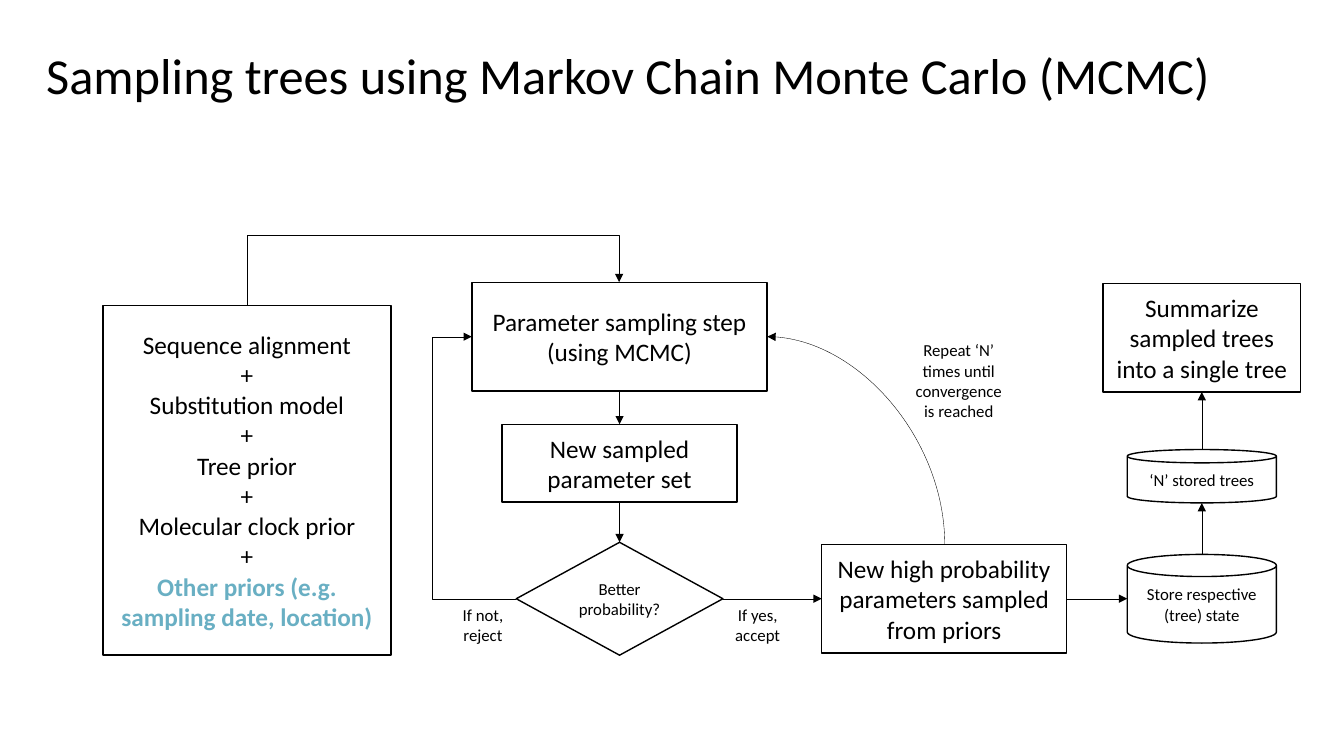
import pptx
import pptx.dml.color
import pptx.enum.shapes
import pptx.enum.text
import pptx.oxml.ns
import pptx.util
from lxml import etree

PX = 9144  # 100 px to the inch
COLORS = {"ink": "000000", "paper": "FFFFFF", "accent": "69AFC3"}
SHAPE = pptx.enum.shapes.MSO_SHAPE
LINK = pptx.enum.shapes.MSO_CONNECTOR
ALIGN = pptx.enum.text.PP_ALIGN
TOP, LEFT, BOTTOM, RIGHT = range(4)
qn = pptx.oxml.ns.qn


def rgb(name):
    return pptx.dml.color.RGBColor.from_string(COLORS[name])


def write(sp, lines, size=18, align=ALIGN.CENTER, spacing=None, inset=10, accent=None):
    """Fill a shape with one paragraph per line; the accent line is bold and coloured."""
    tf = sp.text_frame
    tf.word_wrap = True
    tf.vertical_anchor = pptx.enum.text.MSO_ANCHOR.MIDDLE
    tf.margin_left = tf.margin_right = inset * PX
    for i, line in enumerate(lines):
        p = tf.add_paragraph() if i else tf.paragraphs[0]
        p.alignment = align
        if spacing:
            p.line_spacing = spacing
        r = p.add_run()
        r.text = line
        r.font.name = "Calibri"
        r.font.size = pptx.util.Pt(size)
        r.font.bold = line == accent
        r.font.color.rgb = rgb("accent" if line == accent else "ink")


class Diagram:
    def __init__(self, slide, box_line=1, link_line=0.25):
        self.shapes = slide.shapes
        self.box_line = pptx.util.Pt(box_line)
        self.link_line = pptx.util.Pt(link_line)

    def text(self, x, y, w, h, *lines, **fmt):
        sp = self.shapes.add_textbox(x * PX, y * PX, w * PX, h * PX)
        write(sp, lines, **fmt)

    def box(self, x, y, w, h, *lines, kind=SHAPE.RECTANGLE, fill=None, **fmt):
        sp = self.shapes.add_shape(kind, x * PX, y * PX, w * PX, h * PX)
        sp.shadow.inherit = False
        if fill:
            sp.fill.solid()
            sp.fill.fore_color.rgb = rgb(fill)
        else:
            sp.fill.background()
        sp.line.color.rgb = rgb("ink")
        sp.line.width = self.box_line
        write(sp, lines, **fmt)
        return sp

    def link(self, kind, x1, y1, x2, y2):
        c = self.shapes.add_connector(kind, x1, y1, x2, y2)
        c.line.color.rgb = rgb("ink")
        c.line.width = self.link_line
        spPr = c._element.spPr
        etree.SubElement(spPr.find(qn("a:ln")), qn("a:tailEnd"), type="triangle")
        etree.SubElement(spPr, qn("a:effectLst"))
        return c

    def arrow(self, start, side1, end, side2):
        """Straight arrow between side middles; cylinders have other connection sites."""
        points = []
        for sp, side in ((start, side1), (end, side2)):
            points.append(sp.left + sp.width * {LEFT: 0, RIGHT: 2}.get(side, 1) // 2)
            points.append(sp.top + sp.height * {TOP: 0, BOTTOM: 2}.get(side, 1) // 2)
        c = self.link(LINK.STRAIGHT, *points)
        if start.auto_shape_type != SHAPE.CAN:
            c.begin_connect(start, side1)
        if end.auto_shape_type != SHAPE.CAN:
            c.end_connect(end, side2)

    def turn(self, kind, x, y, w, h, preset, rotation, flips="", bend=None):
        """Bent or curved arrow, given by its frame before rotation."""
        c = self.link(kind, x * PX, y * PX, (x + w) * PX, (y + h) * PX)
        spPr = c._element.spPr
        xfrm = spPr.find(qn("a:xfrm"))
        xfrm.set("rot", str(rotation * 60000))
        for flip in flips:
            xfrm.set("flip" + flip, "1")
        geom = spPr.find(qn("a:prstGeom"))
        geom.set("prst", preset)
        if bend is not None:
            av = geom.find(qn("a:avLst"))
            etree.SubElement(av, qn("a:gd"), name="adj1", fmla=f"val {bend}")


def main():
    prs = pptx.Presentation()
    prs.slide_width, prs.slide_height = pptx.util.Inches(13.33), pptx.util.Inches(7.5)
    d = Diagram(prs.slides.add_slide(prs.slide_layouts[6]))

    d.text(36, 40, 1265, 76, "Sampling trees using Markov Chain Monte Carlo (MCMC)",
           size=36, align=ALIGN.LEFT, spacing=0.9)

    # Model inputs
    other = "Other priors (e.g. sampling date, location)"
    d.box(102, 303, 286, 347, "Sequence alignment", "+", "Substitution model", "+",
          "Tree prior", "+", "Molecular clock prior", "+", other, accent=other)

    # Sampling loop
    step = d.box(468, 280, 293, 108, "Parameter sampling step", "(using MCMC)")
    sampled = d.box(498, 421, 233, 77, "New sampled parameter set")
    better = d.box(512, 538, 205, 112, "Better probability?",
                   kind=SHAPE.DIAMOND, fill="paper", size=12)
    accepted = d.box(815, 540, 243, 108,
                     "New high probability parameters sampled from priors")

    # Stored trees and summary
    state = d.box(1118, 550, 148, 88, "Store respective (tree) state",
                  kind=SHAPE.CAN, size=12)
    stored = d.box(1118, 446, 148, 53, "‘N’ stored trees", kind=SHAPE.CAN, size=12)
    summary = d.box(1094, 281, 196, 108, "Summarize sampled trees into a single tree")

    # Straight arrows
    d.arrow(step, BOTTOM, sampled, TOP)
    d.arrow(sampled, BOTTOM, better, TOP)
    d.arrow(better, RIGHT, accepted, LEFT)
    d.arrow(accepted, RIGHT, state, LEFT)
    d.arrow(state, TOP, stored, BOTTOM)
    d.arrow(stored, TOP, summary, BOTTOM)

    # Inputs to step, rejection, and repetition
    d.turn(LINK.ELBOW, 418, 107, 23, 369, "bentConnector3", 90, "HV", bend=302700)
    d.turn(LINK.ELBOW, 468, 334, 44, 260, "bentConnector3", 180, bend=188800)
    d.turn(LINK.CURVE, 746, 349, 206, 176, "curvedConnector2", 270, "V")

    # Arrow labels
    for x, y, w, h, label in ((448, 602, 62, 35, "If not, reject"),
                              (719, 602, 65, 35, "If yes, accept"),
                              (898, 334, 106, 87,
                               "Repeat ‘N’ times until convergence is reached")):
        d.text(x, y, w, h, label, size=12, inset=5)

    prs.save("out.pptx")


if __name__ == "__main__":
    main()
